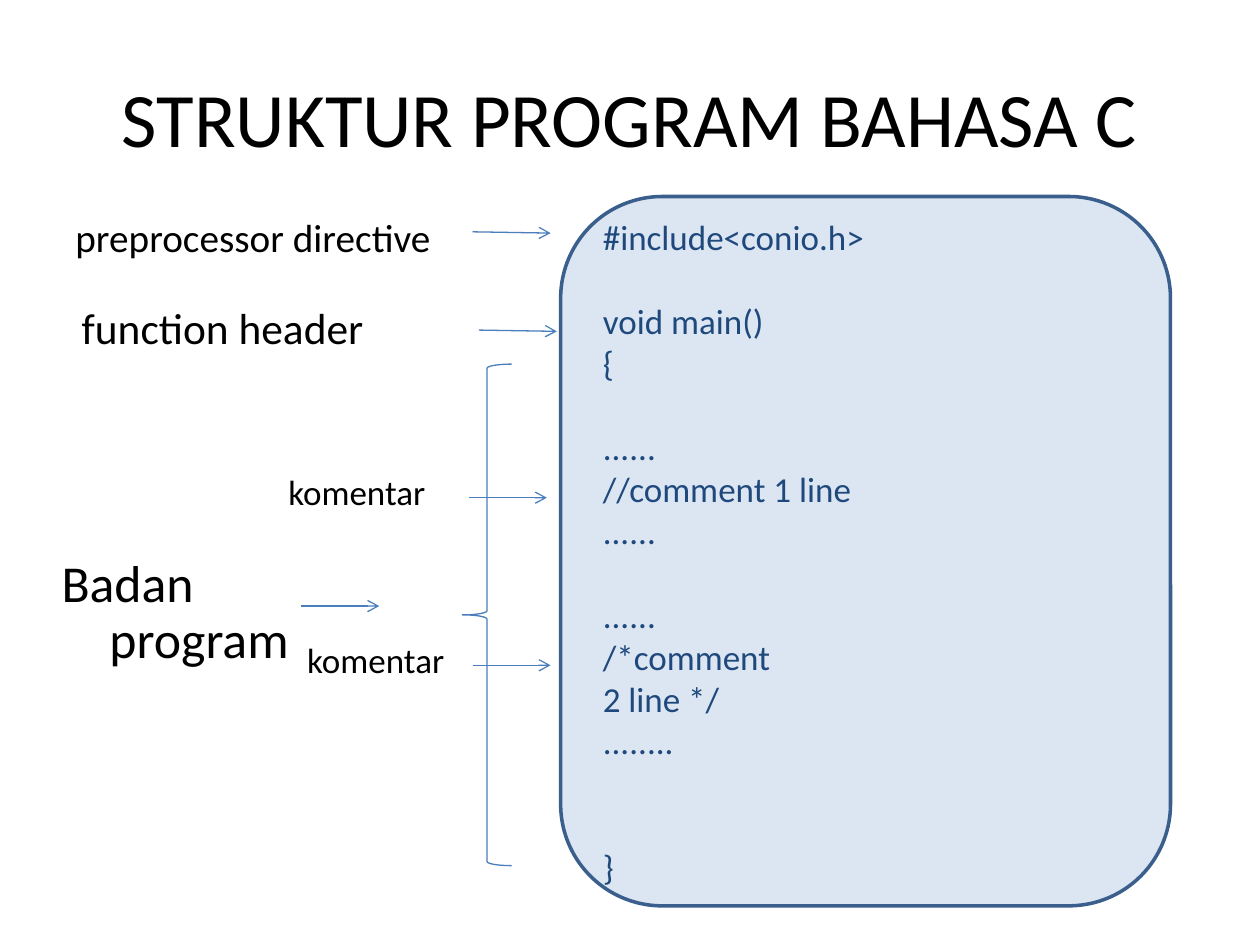
from pptx import Presentation
from pptx.dml.color import RGBColor
from pptx.enum.shapes import MSO_CONNECTOR as LINK, MSO_SHAPE as FORM
from pptx.enum.text import MSO_ANCHOR as ANCHOR, PP_ALIGN as ALIGN
from pptx.oxml.ns import qn
from pptx.util import Inches, Pt
from lxml.etree import SubElement

COLORS = {"ink": "000000", "code": "1F497D", "panel": "DCE6F2",
          "edge": "3A5F8C", "line": "4B7EBC"}


class Page:
    """Holds the style and the current slide."""
    font = "Calibri"

    def __init__(self, deck):
        """Add a blank slide to the deck."""
        self.shapes = deck.slides.add_slide(deck.slide_layouts[6]).shapes

    def color(self, name):
        """Look up a colour by name."""
        return RGBColor.from_string(COLORS[name])

    def style(self, para, size, color):
        """Set the font of a paragraph."""
        para.font.name = self.font
        para.font.size = Pt(size)
        para.font.color.rgb = self.color(color)

    def stroke(self, shape, color, width):
        """Set the outline of a shape or connector."""
        shape.line.color.rgb = self.color(color)
        shape.line.width = Pt(width)

    def text(self, box, words, size):
        """Add a wrapping text box and return its frame and paragraph."""
        frame = self.shapes.add_textbox(*map(Inches, box)).text_frame
        frame.word_wrap = True
        para = frame.paragraphs[0]
        para.text = words
        self.style(para, size, "ink")
        return frame, para

    def title(self, box, words):
        """Add the centred heading."""
        frame, para = self.text(box, words, 44)
        frame.vertical_anchor = ANCHOR.MIDDLE
        para.alignment = ALIGN.CENTER

    def label(self, box, words, size, spacing):
        """Add a label with a hanging indent."""
        para = self.text(box, words, size)[1]
        para.line_spacing = spacing
        para.space_before = Pt(round(size * 0.2, 1))
        props = para._p.get_or_add_pPr()
        props.set("marL", str(Inches(0.38)))
        props.set("indent", str(Inches(-0.38)))

    def panel(self, box, lines, size=20, pitch=24):
        """Add the code panel; each line comes with its gap in rows."""
        panel = self.shapes.add_shape(FORM.ROUNDED_RECTANGLE, *map(Inches, box))
        panel.shadow.inherit = False
        panel.fill.solid()
        panel.fill.fore_color.rgb = self.color("panel")
        self.stroke(panel, "edge", 2)
        frame = panel.text_frame
        frame.vertical_anchor = ANCHOR.MIDDLE
        for i, (gap, words) in enumerate(lines):
            para = frame.add_paragraph() if i else frame.paragraphs[0]
            para.text = words
            para.alignment = ALIGN.LEFT
            para.line_spacing = Pt(pitch)
            para.space_before = Pt(gap * pitch)
            self.style(para, size, "code")

    def brace(self, box):
        """Add the brace that spans the program body."""
        brace = self.shapes.add_shape(FORM.LEFT_BRACE, *map(Inches, box))
        brace.shadow.inherit = False
        brace.fill.background()
        self.stroke(brace, "line", 0.75)

    def arrow(self, left, top, drop=0, width=0.62):
        """Add an arrow that points right."""
        ends = left, top, left + width, top + drop
        arrow = self.shapes.add_connector(LINK.STRAIGHT, *map(Inches, ends))
        self.stroke(arrow, "line", 0.75)
        SubElement(arrow.line._get_or_add_ln(), qn("a:tailEnd"), type="arrow")
        SubElement(arrow._element.spPr, qn("a:effectLst"))


CODE = [(0, "#include<conio.h>"), (1, "void main()"), (0, "{"),
        (1, "......"), (0, "//comment 1 line"), (0, "......"),
        (1, "......"), (0, "/*comment"), (0, "2 line */"),
        (0, "........"), (2, "}")]
LABELS = [((0.5, 1.64, 3.09, 0.44), "preprocessor directive", 22.4, 1.0),
          ((0.55, 2.42, 3.09, 0.44), "function header", 24.8, 0.8),
          ((2.19, 3.75, 1.37, 0.47), "komentar", 20, 0.8),
          ((2.34, 5.08, 1.37, 0.47), "komentar", 20, 0.8),
          ((0.39, 4.38, 2.19, 1.02), "Badan program", 29.6, 0.9)]
ARROWS = [(3.75, 1.84, 0.01), (3.8, 2.62, 0.01), (3.72, 3.95),
          (3.75, 5.28), (2.39, 4.81)]

deck = Presentation()
deck.slide_width, deck.slide_height = Inches(10), Inches(7.5)
page = Page(deck)
page.title((0.5, 0.3, 9, 1.25), "STRUKTUR PROGRAM BAHASA C")
page.panel((4.45, 1.56, 4.84, 5.63), CODE)
for label in LABELS:
    page.label(*label)
page.brace((3.67, 2.89, 0.39, 3.98))
for arrow in ARROWS:
    page.arrow(*arrow)
deck.save("out.pptx")
